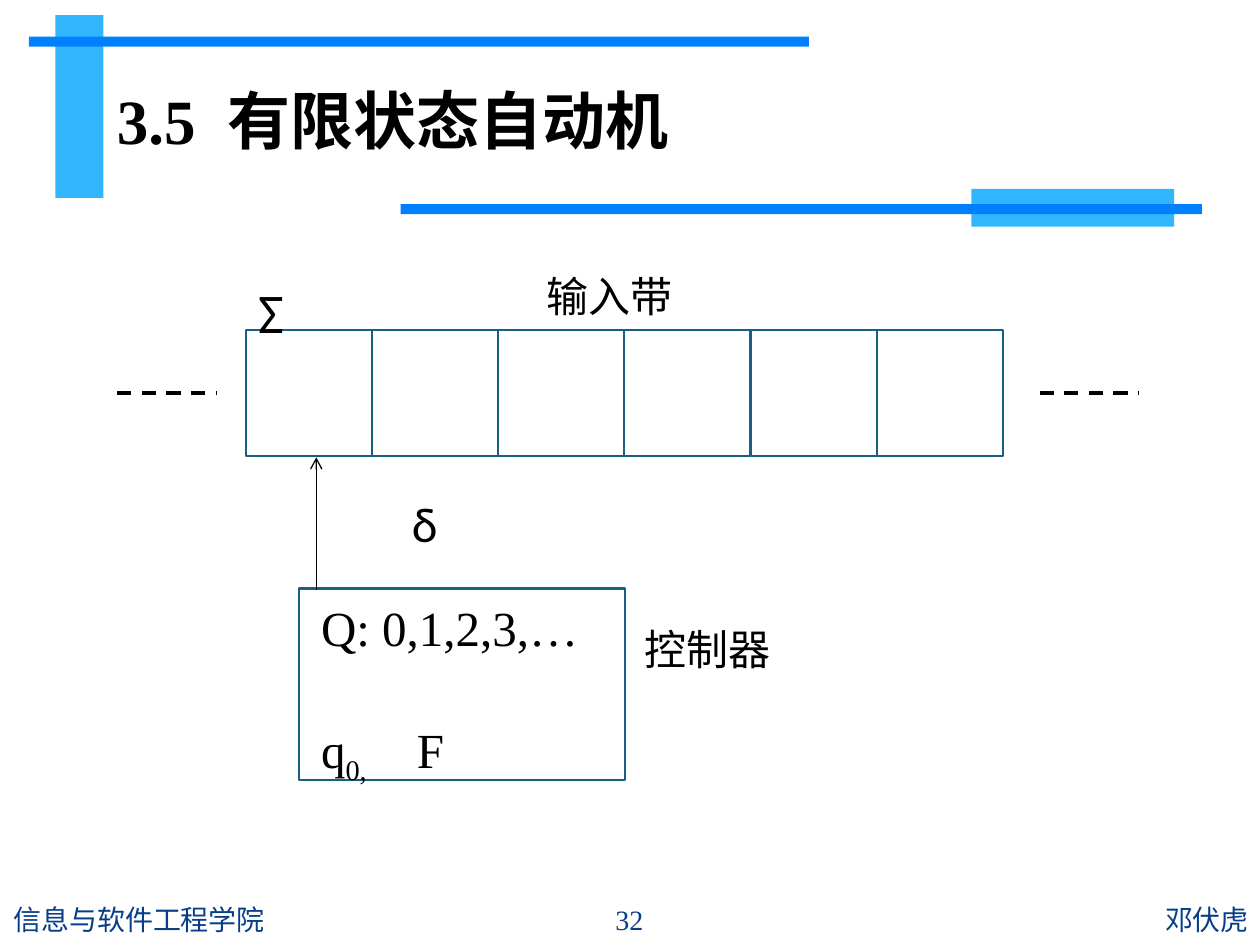
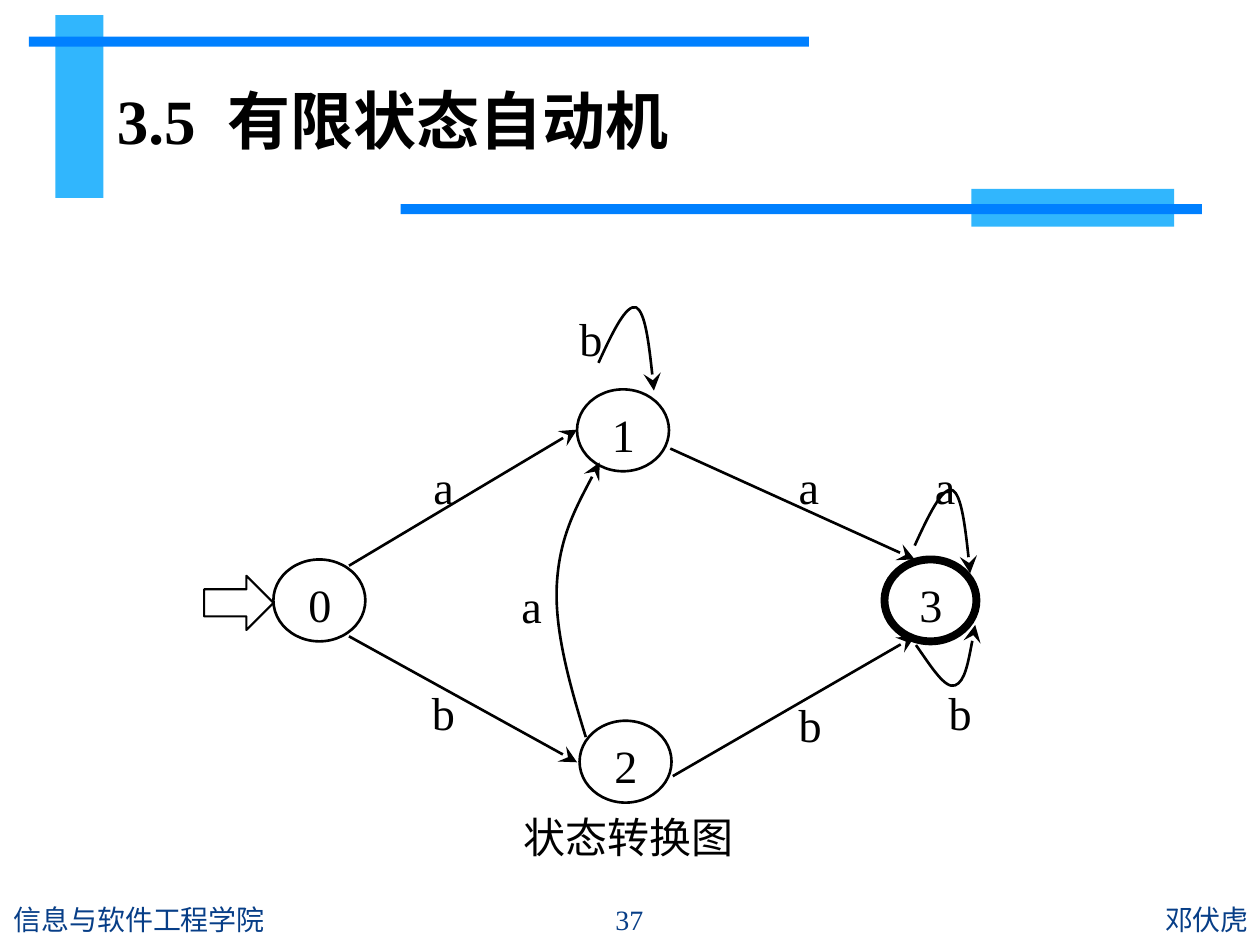
import pptx
import pptx.dml.color
import pptx.enum.dml
import pptx.enum.shapes
import pptx.enum.text
import pptx.oxml
import pptx.util
from lxml import etree

Inches, Pt = pptx.util.Inches, pptx.util.Pt
shade = pptx.dml.color.RGBColor.from_string
SHAPE = pptx.enum.shapes.MSO_SHAPE
STRAIGHT = pptx.enum.shapes.MSO_CONNECTOR.STRAIGHT
ALIGN, ANCHOR = pptx.enum.text.PP_ALIGN, pptx.enum.text.MSO_ANCHOR
qn = pptx.oxml.ns.qn

BLACK, BLUE, SKY, NAVY, TEAL = "000000", "0080FF", "31B6FD", "073E87", "195F84"
TIMES, SANS, CJK = "Times New Roman", "Calibri", "Noto Sans CJK SC"


def write(slide, box, text, size, face=SANS, tone=BLACK, align=ALIGN.LEFT,
          anchor=ANCHOR.TOP, wrap=False, tab=None):
    """Add a text box, one paragraph per line, and return its paragraphs."""
    frame = slide.shapes.add_textbox(*map(Inches, box)).text_frame
    frame.word_wrap = wrap
    frame.vertical_anchor = anchor
    frame.text = text
    for para in frame.paragraphs:
        para.alignment = align
        if tab:
            tabs = etree.SubElement(para._p.get_or_add_pPr(), qn("a:tabLst"))
            etree.SubElement(tabs, qn("a:tab"), pos=str(Inches(tab)), algn="l")
        font = para.font
        font.size, font.name = Pt(size), face
        font.color.rgb = shade(tone)
        etree.SubElement(font._element, qn("a:ea"), typeface=CJK)
    return frame.paragraphs


def stroke(shape, tone, width, tip=None, size="med"):
    """Set the outline, with an optional arrowhead, and drop the shadow."""
    shape.line.color.rgb = shade(tone)
    shape.line.width = Pt(width)
    if tip:
        etree.SubElement(shape.line._get_or_add_ln(), qn("a:tailEnd"),
                         type=tip, w=size, len=size)
    etree.SubElement(shape._element.spPr, qn("a:effectLst"))


deck = pptx.Presentation()
deck.slide_width, deck.slide_height = Inches(10), Inches(7.5)

# Shared bands, title and footers
bands = [
    ((0.44, 0.12, 0.38, 1.45), SKY),
    ((0.23, 0.29, 6.19, 0.08), BLUE),
    ((7.71, 1.5, 1.61, 0.3), SKY),
    ((3.18, 1.62, 6.36, 0.08), BLUE),
]
for page in ("32", "37"):
    slide = deck.slides.add_slide(deck.slide_layouts[6])
    for box, tone in bands:
        band = slide.shapes.add_shape(SHAPE.RECTANGLE, *map(Inches, box))
        band.fill.solid()
        band.fill.fore_color.rgb = shade(tone)
        band.line.fill.background()
        band.shadow.inherit = False
    title = write(slide, (0.83, 0.44, 7.72, 1.02), "3.5\t", 36, TIMES,
                  anchor=ANCHOR.MIDDLE, wrap=True, tab=0.88)[0]
    title.font.bold = True
    name = title.add_run()
    name.text = "有限状态自动机"
    name.font.name = "Arial"
    feet = [
        ((0.01, 7.1, 4.34, 0.4), "信息与软件工程学院", SANS, ALIGN.LEFT),
        ((4.36, 7.1, 1.27, 0.4), page, TIMES, ALIGN.CENTER),
        ((5.65, 7.1, 4.36, 0.4), "邓伏虎", SANS, ALIGN.RIGHT),
    ]
    for box, text, face, align in feet:
        write(slide, box, text, 16, face, NAVY, align, ANCHOR.MIDDLE, True)

tape, graph = deck.slides

# Slide 1: input tape and controller
boxes = [(1.95 + 1.002 * i, 2.62, 1, 1) for i in range(6)]
boxes.append((2.37, 4.67, 2.59, 1.52))
for box in boxes:
    cell = tape.shapes.add_shape(SHAPE.RECTANGLE, *map(Inches, box))
    cell.fill.background()
    stroke(cell, TEAL, 1.25)

head = tape.shapes.add_connector(STRAIGHT, *map(Inches, (2.51, 4.68, 2.51, 3.63)))
stroke(head, BLACK, 0.75, "arrow")
for left in (0.93, 8.25):
    dash = tape.shapes.add_connector(
        STRAIGHT, *map(Inches, (left, 3.12, left + 0.79, 3.12)))
    stroke(dash, BLACK, 2)
    dash.line.dash_style = pptx.enum.dml.MSO_LINE.DASH

for box, text, size in [
    ((1.95, 2.15, 0.44, 0.64), "Σ", 32),
    ((4.24, 2.1, 1.21, 0.5), "输入带", 24),
    ((5.02, 4.9, 1.21, 0.5), "控制器", 24),
    ((3.17, 3.87, 0.42, 0.57), "δ", 28),
]:
    write(tape, box, text, size)

start = write(tape, (2.45, 4.69, 2.37, 1.51), "Q: 0,1,2,3,…\nq", 28, TIMES,
              wrap=True, tab=0.76)[1]
start.space_before = Pt(36)
low, final = start.add_run(), start.add_run()
low.text, final.text = "0,", "\tF"
low.font._element.set("baseline", "-25000")

# Slide 2: state graph
for ends in [
    (2.77, 4.49, 4.58, 3.41),
    (5.32, 3.56, 7.26, 4.44),
    (2.77, 5.05, 4.58, 6.05),
    (5.34, 6.16, 7.26, 5.05),
]:
    edge = graph.shapes.add_connector(STRAIGHT, *map(Inches, ends))
    stroke(edge, BLACK, 1.5, "stealth", "lg")

# Each curve is a start point, then three points per Bezier piece
curves = [
    [(4.65, 5.85), (4.52, 5.43), (4.4, 5), (4.42, 4.64),
     (4.44, 4.27), (4.6, 3.97), (4.76, 3.67)],
    [(7.27, 5.12), (7.39, 5.29), (7.5, 5.47), (7.58, 5.44),
     (7.66, 5.41), (7.7, 5.18), (7.74, 4.96)],
]
for x, y in [(7.26, 4.33), (4.75, 2.88)]:
    bend = [(0, 0), (0.11, -0.24), (0.22, -0.47), (0.3, -0.44),
            (0.37, -0.4), (0.41, -0.09), (0.44, 0.22)]
    curves.append([(x + dx, y + dy) for dx, dy in bend])
for curve in curves:
    points = [(Inches(x), Inches(y)) for x, y in curve]
    pen = graph.shapes.build_freeform(*points[0])
    pen.add_line_segments(points[1:], close=False)
    arc = pen.convert_to_shape()
    arc.fill.background()
    stroke(arc, BLACK, 1.5, "stealth", "lg")
    route = arc._element.find(".//" + qn("a:path"))
    steps = route.findall(qn("a:lnTo"))
    for i in range(0, len(steps), 3):
        piece = etree.SubElement(route, qn("a:cubicBezTo"))
        for step in steps[i:i + 3]:
            piece.append(step[0])
            route.remove(step)

for text, left, top, width in [
    ("0", 2.17, 4.44, 1.5),
    ("1", 4.58, 3.09, 1.5),
    ("2", 4.6, 5.72, 1.5),
    ("3", 7.02, 4.44, 4.5),
]:
    state = graph.shapes.add_shape(
        SHAPE.OVAL, *map(Inches, (left, top, 0.73, 0.65)))
    state.fill.background()
    stroke(state, BLACK, width)
    frame = state.text_frame
    frame.margin_left, frame.margin_top = Inches(0.17), Inches(0.04)
    frame.margin_right = frame.margin_bottom = 0
    frame.vertical_anchor = ANCHOR.TOP
    frame.text = text
    para = frame.paragraphs[0]
    para.alignment = ALIGN.JUSTIFY
    para.font.size, para.font.name = Pt(26.4), TIMES
    para.font.color.rgb = shade(BLACK)

for text, left, top, height in [
    ("a", 3.16, 3.63, 0.46),
    ("a", 3.86, 4.57, 0.46),
    ("a", 6.06, 3.63, 0.46),
    ("a", 7.14, 3.63, 0.46),
    ("b", 3.16, 5.42, 0.46),
    ("b", 7.26, 5.38, 0.55),
    ("b", 6.07, 5.47, 0.55),
    ("b", 4.33, 2.41, 0.55),
]:
    write(graph, (left, top, 0.72, height), text, 26.4, TIMES,
          align=ALIGN.CENTER, anchor=ANCHOR.MIDDLE)
write(graph, (3.55, 6.37, 2.88, 0.54), "状态转换图", 24, CJK,
      align=ALIGN.CENTER, anchor=ANCHOR.MIDDLE)

entry = graph.shapes.add_shape(
    SHAPE.RIGHT_ARROW, *map(Inches, (1.62, 4.57, 0.55, 0.43)))
entry.fill.solid()
entry.fill.fore_color.rgb = shade("FFFFFF")
stroke(entry, BLACK, 1.25)

deck.save("out.pptx")
